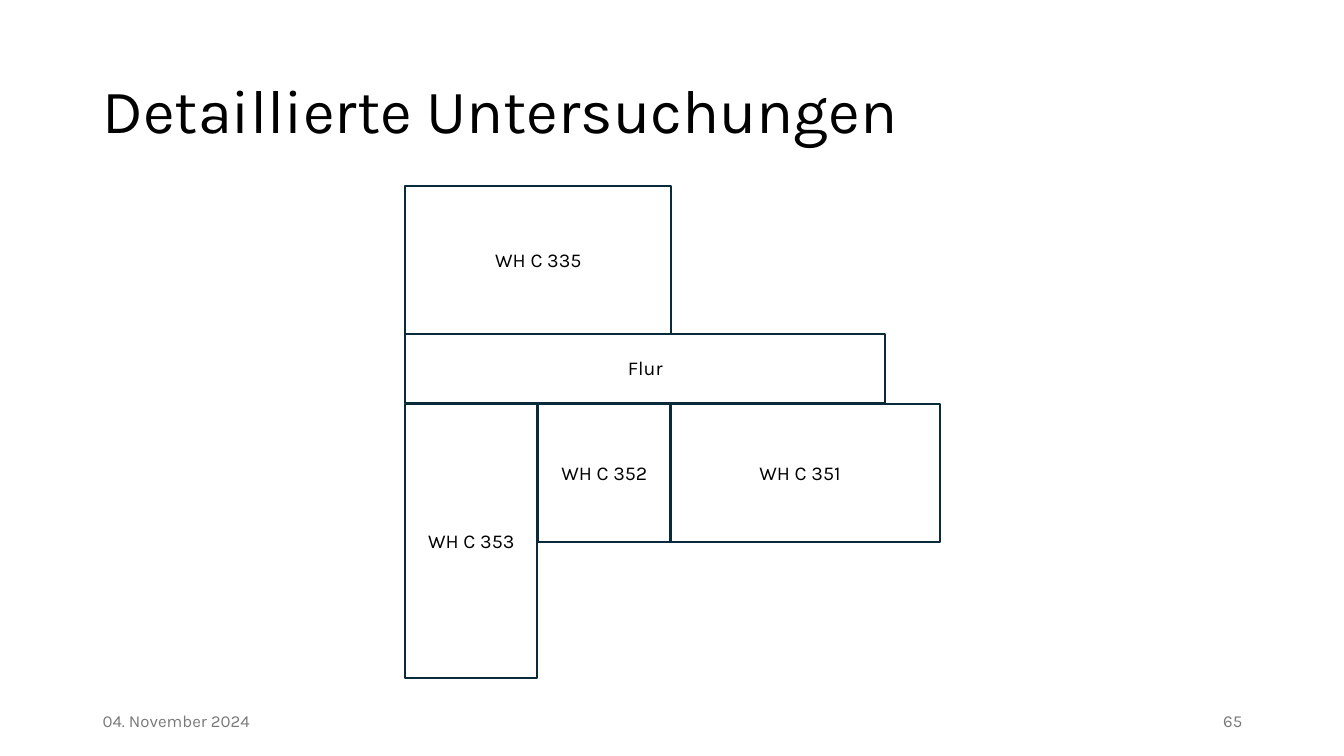
import pptx
import pptx.dml.color
import pptx.enum.shapes
import pptx.enum.text
import pptx.util

Inches = pptx.util.Inches
ALIGN = pptx.enum.text.PP_ALIGN
ANCHOR = pptx.enum.text.MSO_ANCHOR

FONT = "Karla"
BLACK = pptx.dml.color.RGBColor(0x00, 0x00, 0x00)
GRAY = pptx.dml.color.RGBColor(0x79, 0x79, 0x79)
WALL = pptx.dml.color.RGBColor(0x09, 0x2A, 0x39)

MARGIN, CONTENT_WIDTH = 0.92, 11.5
LABEL_WIDTH, LABEL_HEIGHT = 1.1, 0.34

# Room: left, top, width, height relative to the plan, and label shift
ROOMS = {
    "WH C 335": (0, 0, 2.64, 1.46, 0),
    "Flur": (0, 1.46, 4.76, 0.69, 0),
    "WH C 353": (0, 2.16, 1.31, 2.72, 0),
    "WH C 352": (1.32, 2.16, 1.31, 1.37, 0),
    "WH C 351": (2.63, 2.16, 2.67, 1.37, -0.05),
}


def add_text(slide, text, left, top, width, height, size, color,
             align=ALIGN.LEFT, anchor=ANCHOR.MIDDLE):
    box = slide.shapes.add_textbox(
        Inches(left), Inches(top), Inches(width), Inches(height))
    frame = box.text_frame
    frame.word_wrap = True
    frame.vertical_anchor = anchor
    frame.text = text
    paragraph = frame.paragraphs[0]
    paragraph.alignment = align
    font = paragraph.runs[0].font
    font.name = FONT
    font.size = pptx.util.Pt(size)
    font.color.rgb = color
    return paragraph


def add_title(slide, left, top, width, height):
    title = add_text(slide, "Detaillierte Untersuchungen",
                     left, top, width, height, 44, BLACK)
    title.line_spacing = 0.9


def add_floor_plan(slide, left, top):
    # Walls
    for x, y, width, height, _ in ROOMS.values():
        room = slide.shapes.add_shape(
            pptx.enum.shapes.MSO_SHAPE.RECTANGLE,
            Inches(left + x), Inches(top + y), Inches(width), Inches(height))
        room.shadow.inherit = False
        room.fill.background()
        room.line.color.rgb = WALL
        room.line.width = pptx.util.Pt(1.5)
    # Labels, centred in their rooms
    for name, (x, y, width, height, shift) in ROOMS.items():
        add_text(slide, name,
                 left + x + (width - LABEL_WIDTH) / 2 + shift,
                 top + y + (height - LABEL_HEIGHT) / 2,
                 LABEL_WIDTH, LABEL_HEIGHT, 14, BLACK,
                 ALIGN.CENTER, ANCHOR.TOP)


def add_footer(slide, left, top, width, height):
    part_width = 3
    add_text(slide, "04. November 2024", left, top, part_width, height, 12, GRAY)
    add_text(slide, "65", left + width - part_width, top, part_width, height,
             12, GRAY, ALIGN.RIGHT)


def main():
    deck = pptx.Presentation()
    deck.slide_width, deck.slide_height = Inches(13.33), Inches(7.5)
    slide = deck.slides.add_slide(deck.slide_layouts[6])
    add_title(slide, MARGIN, 0.4, CONTENT_WIDTH, 1.45)
    add_floor_plan(slide, 4.02, 1.85)
    add_footer(slide, MARGIN, 6.95, CONTENT_WIDTH, 0.4)
    deck.save("out.pptx")


if __name__ == "__main__":
    main()
